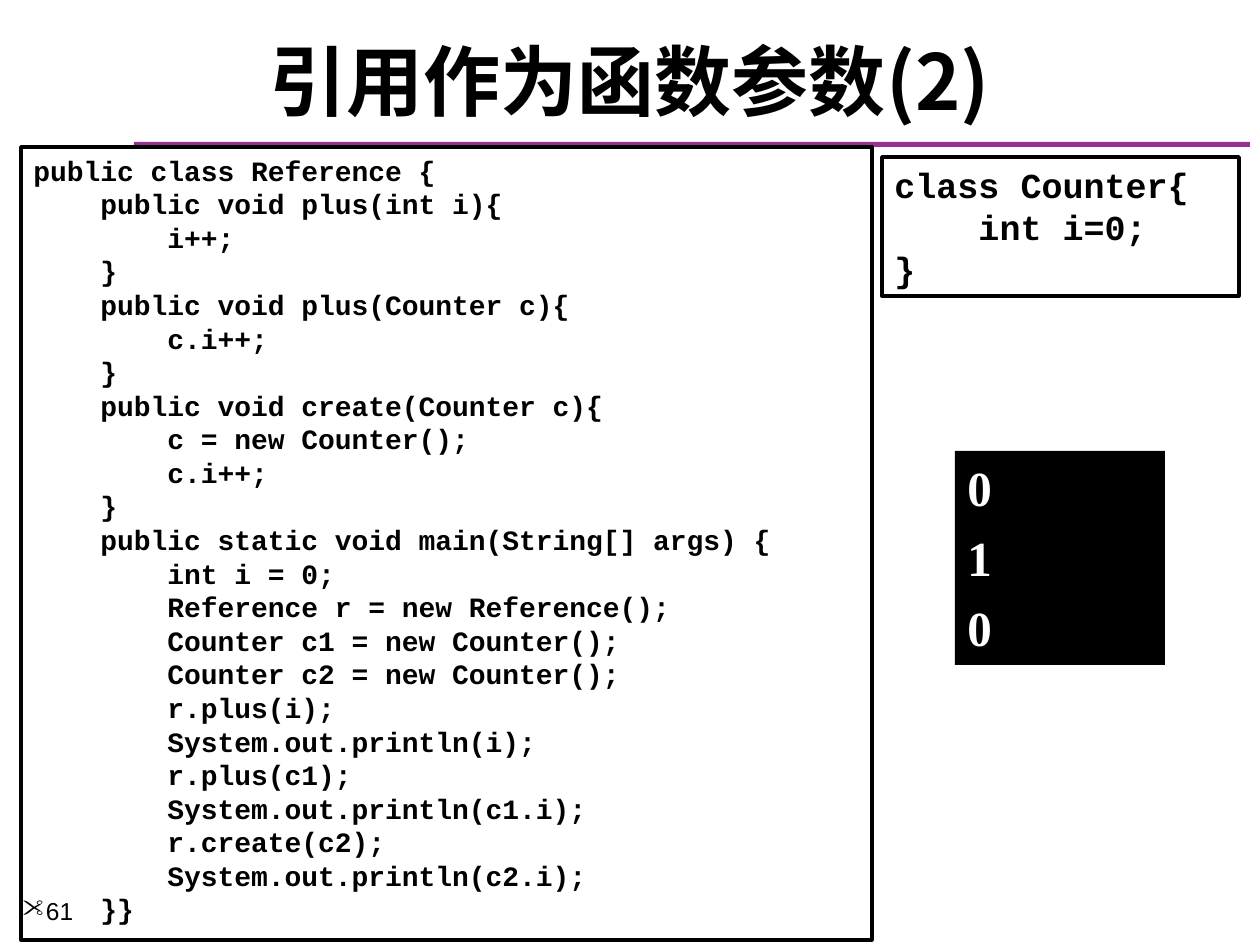
import pptx
import pptx.dml.color
import pptx.enum.shapes
import pptx.enum.text
import pptx.oxml
import pptx.oxml.ns
import pptx.util

EMU_PER_PX = 914400 // 126
BLACK, WHITE, PURPLE = "000000", "FFFFFF", "973095"

REFERENCE_CODE = """\
public class Reference {
    public void plus(int i){
        i++;
    }
    public void plus(Counter c){
        c.i++;
    }
    public void create(Counter c){
        c = new Counter();
        c.i++;
    }
    public static void main(String[] args) {
        int i = 0;
        Reference r = new Reference();
        Counter c1 = new Counter();
        Counter c2 = new Counter();
        r.plus(i);
        System.out.println(i);
        r.plus(c1);
        System.out.println(c1.i);
        r.create(c2);
        System.out.println(c2.i);
    }}"""

COUNTER_CODE = """\
class Counter{
    int i=0;
}"""


def px(length):
    return pptx.util.Emu(length * EMU_PER_PX)


def color(hex_string):
    return pptx.dml.color.RGBColor.from_string(hex_string)


class SlideBuilder:
    code = {"name": "Courier New", "bold": True}
    title_font = {"name": "Noto Sans CJK SC", "size": pptx.util.Pt(44), "bold": True}
    output = {"name": "Times New Roman", "size": pptx.util.Pt(28), "bold": True}
    number = {"name": "Arial", "size": pptx.util.Pt(14), "bold": False}

    def __init__(self, slide):
        self.slide = slide

    def format_font(self, font, values, hex_string=BLACK):
        for name, value in values.items():
            setattr(font, name, value)
        font.color.rgb = color(hex_string)

    def title(self, text, left, top, width, height):
        shape = self.slide.shapes.title
        shape.left, shape.top, shape.width, shape.height = map(px, (left, top, width, height))
        frame = shape.text_frame
        frame.text = text
        frame.vertical_anchor = pptx.enum.text.MSO_ANCHOR.MIDDLE
        paragraph = frame.paragraphs[0]
        paragraph.alignment = pptx.enum.text.PP_ALIGN.CENTER
        run = paragraph.runs[0]
        self.format_font(run.font, self.title_font)
        east_asian = pptx.oxml.parse_xml(
            f'<a:ea {pptx.oxml.ns.nsdecls("a")} typeface="{self.title_font["name"]}"/>')
        run.font._element.find(pptx.oxml.ns.qn("a:latin")).addnext(east_asian)

    def rectangle(self, left, top, width, height, fill=None, line=None):
        shape = self.slide.shapes.add_shape(
            pptx.enum.shapes.MSO_SHAPE.RECTANGLE, *map(px, (left, top, width, height)))
        shape.shadow.inherit = False
        if fill:
            shape.fill.solid()
            shape.fill.fore_color.rgb = color(fill)
        else:
            shape.fill.background()
        if line:
            shape.line.color.rgb = color(line)
            shape.line.width = pptx.util.Pt(2)
        else:
            shape.line.fill.background()
        return shape

    def write_lines(self, shape, text, font, hex_string, **spacing):
        """Write one left-aligned paragraph per line, from the top of the shape."""
        frame = shape.text_frame
        frame.word_wrap = True
        frame.vertical_anchor = pptx.enum.text.MSO_ANCHOR.TOP
        for index, line in enumerate(text.split("\n")):
            paragraph = frame.add_paragraph() if index else frame.paragraphs[0]
            paragraph.alignment = pptx.enum.text.PP_ALIGN.LEFT
            for name, value in spacing.items():
                if index or name != "space_before":
                    setattr(paragraph, name, value)
            run = paragraph.add_run()
            run.text = line
            self.format_font(run.font, font, hex_string)

    def code_box(self, text, size, left, top, width, height):
        shape = self.rectangle(left, top, width, height, line=BLACK)
        font = {**self.code, "size": pptx.util.Pt(size)}
        self.write_lines(shape, text, font, BLACK, line_spacing=pptx.util.Pt(1.2 * size))

    def output_box(self, text, left, top, width, height):
        shape = self.rectangle(left, top, width, height, fill=BLACK)
        self.write_lines(shape, text, self.output, WHITE, space_before=pptx.util.Pt(6.5))

    def page_number(self, text, left, top, width, height):
        shape = self.slide.shapes.add_textbox(*map(px, (left, top, width, height)))
        self.write_lines(shape, text, self.number, BLACK)
        properties = shape.text_frame.paragraphs[0]._p.get_or_add_pPr()
        namespace = pptx.oxml.ns.nsdecls("a")
        for bullet in ('buFont {} typeface="Wingdings"', "buChar {} char='\"'"):
            properties.append(pptx.oxml.parse_xml(f"<a:{bullet.format(namespace)}/>"))


def main():
    presentation = pptx.Presentation()
    presentation.slide_width, presentation.slide_height = px(1260), px(945)
    slide = presentation.slides.add_slide(presentation.slide_layouts[5])
    builder = SlideBuilder(slide)
    builder.rectangle(134, 142, 1116, 5, fill=PURPLE)
    builder.title("引用作为函数参数(2)", 21, 32, 1218, 95)
    builder.page_number("61", 10, 890, 136, 55)
    builder.code_box(REFERENCE_CODE, 16, 21, 147, 851, 793)
    builder.code_box(COUNTER_CODE, 20, 882, 157, 357, 139)
    builder.output_box("0\n1\n0", 955, 451, 210, 214)
    presentation.save("out.pptx")


if __name__ == "__main__":
    main()
